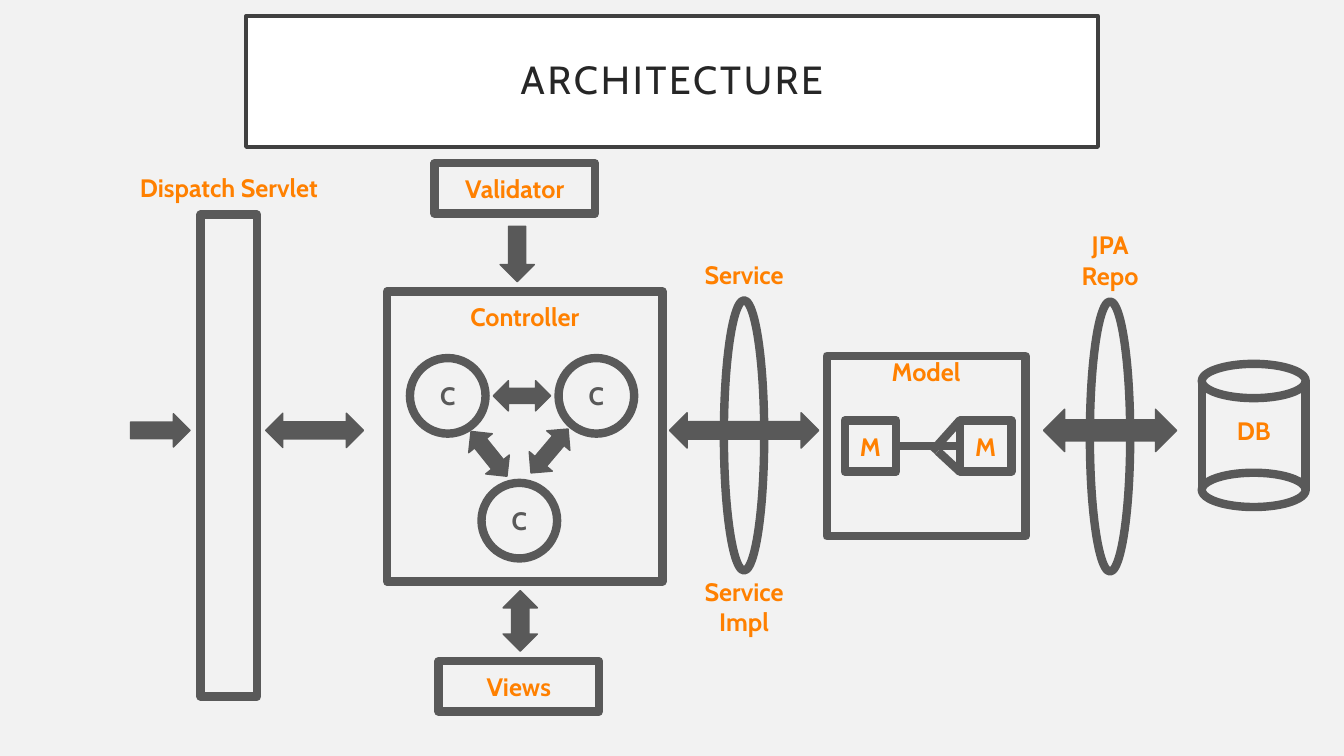
from lxml import etree
from pptx import Presentation
from pptx.dml.color import RGBColor
from pptx.enum.shapes import MSO_CONNECTOR, MSO_SHAPE
from pptx.enum.text import MSO_ANCHOR, PP_ALIGN
from pptx.oxml.ns import qn
from pptx.util import Inches, Pt

RECT, OVAL = MSO_SHAPE.RECTANGLE, MSO_SHAPE.OVAL
RIGHT, BOTH = MSO_SHAPE.RIGHT_ARROW, MSO_SHAPE.LEFT_RIGHT_ARROW
STRAIGHT = MSO_CONNECTOR.STRAIGHT
TOP, MIDDLE, CENTER = MSO_ANCHOR.TOP, MSO_ANCHOR.MIDDLE, PP_ALIGN.CENTER

COLORS = {
    "page": "F2F2F2",
    "panel": "FFFFFF",
    "frame": "404040",
    "title": "262626",
    "gray": "595959",
    "orange": "FF8000",
}
FONT = "Cabin"
WIDE, HIGH = 13.33, 7.5
AXIS = 4.27


def tint(name):
    """Return the named colour."""
    return RGBColor.from_string(COLORS[name])


def spot(box, col, row):
    """Return the point at the given shares of a box."""
    x, y, w, h = box
    return x + col * w, y + row * h


def around(point, w, h):
    """Return the box of the given size centred on a point."""
    return point[0] - w / 2, point[1] - h / 2, w, h


def write(shape, text, color="orange", size=18, bold=True, anchor=MIDDLE, pad=0):
    """Fill a shape with centred text."""
    frame = shape.text_frame
    frame.text = text
    frame.word_wrap = False
    frame.vertical_anchor = anchor
    frame.margin_left = frame.margin_right = frame.margin_bottom = 0
    frame.margin_top = Inches(pad)
    for para in frame.paragraphs:
        para.alignment = CENTER
        para.font.name = FONT
        para.font.size = Pt(size)
        para.font.bold = bold
        para.font.color.rgb = tint(color)


def draw(slide, kind, box, fill=None, line="gray", weight=6, turn=0):
    """Add a flat preset shape."""
    shape = slide.shapes.add_shape(kind, *map(Inches, box))
    shape.shadow.inherit = False
    shape.rotation = turn
    shape.line.color.rgb = tint(line)
    shape.line.width = Pt(weight)
    if fill:
        shape.fill.solid()
        shape.fill.fore_color.rgb = tint(fill)
    else:
        shape.fill.background()
    return shape


def arrow(slide, kind, point, w, h, turn=0):
    """Add a block arrow centred on a point."""
    draw(slide, kind, around(point, w, h), "gray", weight=1, turn=turn)


def rule(slide, start, end):
    """Add a thick straight line."""
    line = slide.shapes.add_connector(STRAIGHT, *map(Inches, start + end))
    line.line.color.rgb = tint("gray")
    line.line.width = Pt(6)
    etree.SubElement(line._element.spPr, qn("a:effectLst"))


def label(slide, text, box):
    """Add a free label."""
    write(slide.shapes.add_textbox(*map(Inches, box)), text)


def heading(slide, box):
    """Draw the framed title."""
    shape = draw(slide, RECT, box, "panel", "frame", 2.5)
    write(shape, "ARCHITECTURE", "title", 28, False)
    para = shape.text_frame.paragraphs[0]
    para.line_spacing = 0.9
    para.runs[0].font._element.set("spc", "200")


def servlet(slide, box):
    """Draw the dispatcher bar with its label and arrows."""
    x, y, w, h = box
    draw(slide, RECT, box)
    label(slide, "Dispatch Servlet", around((x + w / 2, y - 0.27), 2.15, 0.4))
    arrow(slide, RIGHT, (x - 0.4, AXIS), 0.59, 0.33)
    arrow(slide, BOTH, (x + w + 0.57, AXIS), 0.97, 0.34)


def controller(slide, box):
    """Draw the controller with its ring of linked circles."""
    write(draw(slide, RECT, box), "Controller", anchor=TOP, pad=0.1)
    for col, row in ((0.22, 0.36), (0.48, 0.79), (0.76, 0.36)):
        ring = draw(slide, OVAL, around(spot(box, col, row), 0.75, 0.75))
        write(ring, "C", "gray")
    for col, row, turn in ((0.49, 0.36, 0), (0.59, 0.55, 310.2), (0.37, 0.56, 51.3)):
        arrow(slide, BOTH, spot(box, col, row), 0.57, 0.3, turn)


def helper(slide, box, text):
    """Draw a small named box beside the controller."""
    write(draw(slide, RECT, box), text)


def lens(slide, box, span, thick, above, below=""):
    """Draw a tall oval crossed by an arrow, with labels at its ends."""
    x, y, w, h = box
    mid = x + w / 2
    arrow(slide, BOTH, (mid, AXIS), span, thick)
    draw(slide, OVAL, box)
    for text, sign, edge in ((above, -1, y - 0.06), (below, 1, y + h + 0.01)):
        if text:
            tall = 0.1 + 0.3 * len(text.split("\n"))
            label(slide, text, around((mid, edge + sign * tall / 2), 1.08, tall))


def model(slide, box):
    """Draw the model with two entities joined by a crow's foot."""
    write(draw(slide, RECT, box), "Model", anchor=TOP)
    side = 0.51
    left, right = spot(box, 0.22, 0.5), spot(box, 0.8, 0.5)
    for point in (left, right):
        write(draw(slide, RECT, around(point, side, side)), "M")
    edge = right[0] - side / 2
    rule(slide, (left[0] + side / 2, left[1]), (edge, right[1]))
    for col, sign in ((0.53, -1), (0.56, 1)):
        rule(slide, spot(box, col, 0.53), (edge, right[1] + sign * side / 2))


def store(slide, box):
    """Draw the database drum."""
    x, y, w, h = box
    cap = 0.34
    for top in (y, y + h - cap):
        draw(slide, OVAL, (x, top, w, cap))
    for side in (x, x + w):
        rule(slide, (side, y + cap / 2), (side, y + h - cap / 2))
    label(slide, "DB", around((x + w / 2, AXIS), 0.58, 0.4))


def main():
    """Build the slide and save it."""
    deck = Presentation()
    deck.slide_width, deck.slide_height = Inches(WIDE), Inches(HIGH)
    slide = deck.slides.add_slide(deck.slide_layouts[6])
    slide.background.fill.solid()
    slide.background.fill.fore_color.rgb = tint("page")
    heading(slide, (2.44, 0.16, 8.45, 1.3))
    servlet(slide, (1.99, 2.13, 0.56, 4.78))
    controller(slide, (3.84, 2.89, 2.73, 2.88))
    helper(slide, (4.31, 1.62, 1.59, 0.5), "Validator")
    arrow(slide, RIGHT, (5.13, 2.52), 0.55, 0.34, 90)
    helper(slide, (4.35, 6.56, 1.59, 0.5), "Views")
    arrow(slide, BOTH, (5.16, 6.16), 0.6, 0.34, 270)
    lens(slide, (7.18, 2.98, 0.4, 2.68), 1.48, 0.35, "Service", "Service\nImpl")
    model(slide, (8.2, 3.53, 1.97, 1.79))
    lens(slide, (10.81, 2.99, 0.4, 2.68), 1.32, 0.42, "JPA\nRepo")
    store(slide, (11.92, 3.61, 1.03, 1.42))
    deck.save("out.pptx")


if __name__ == "__main__":
    main()
